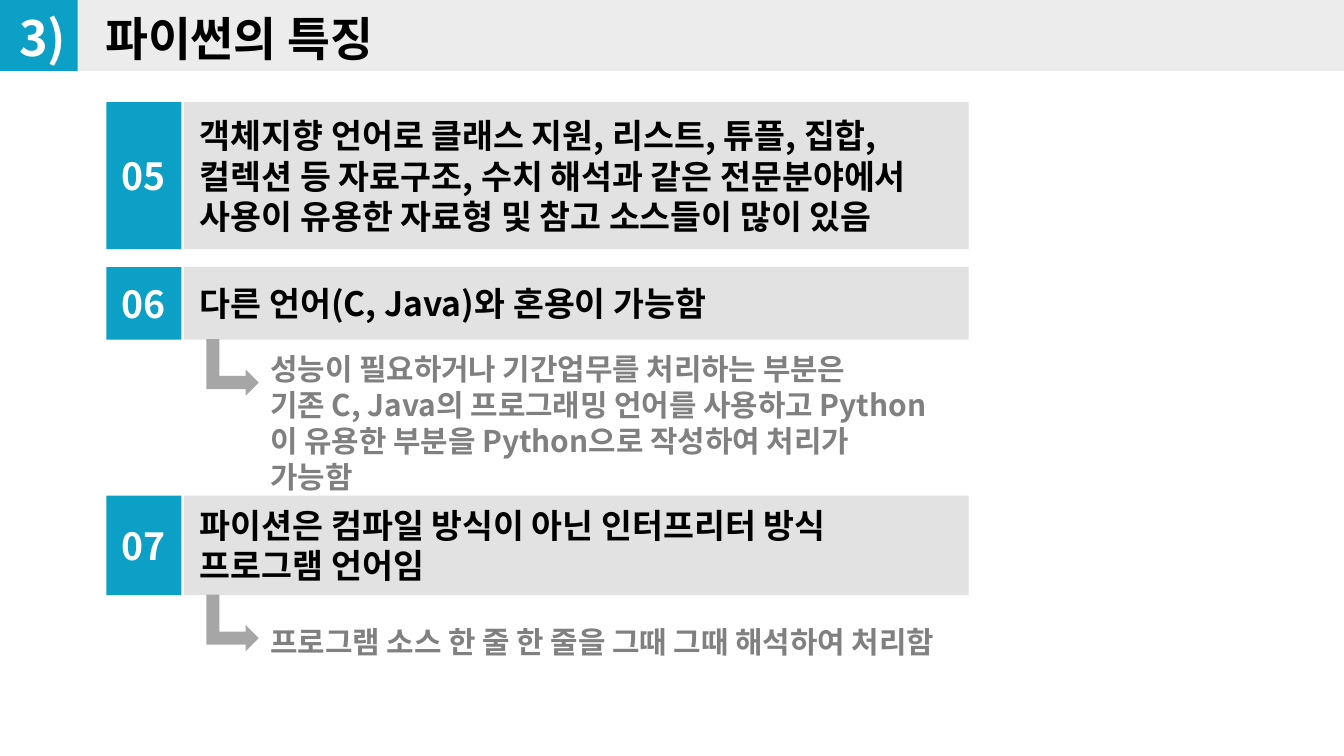
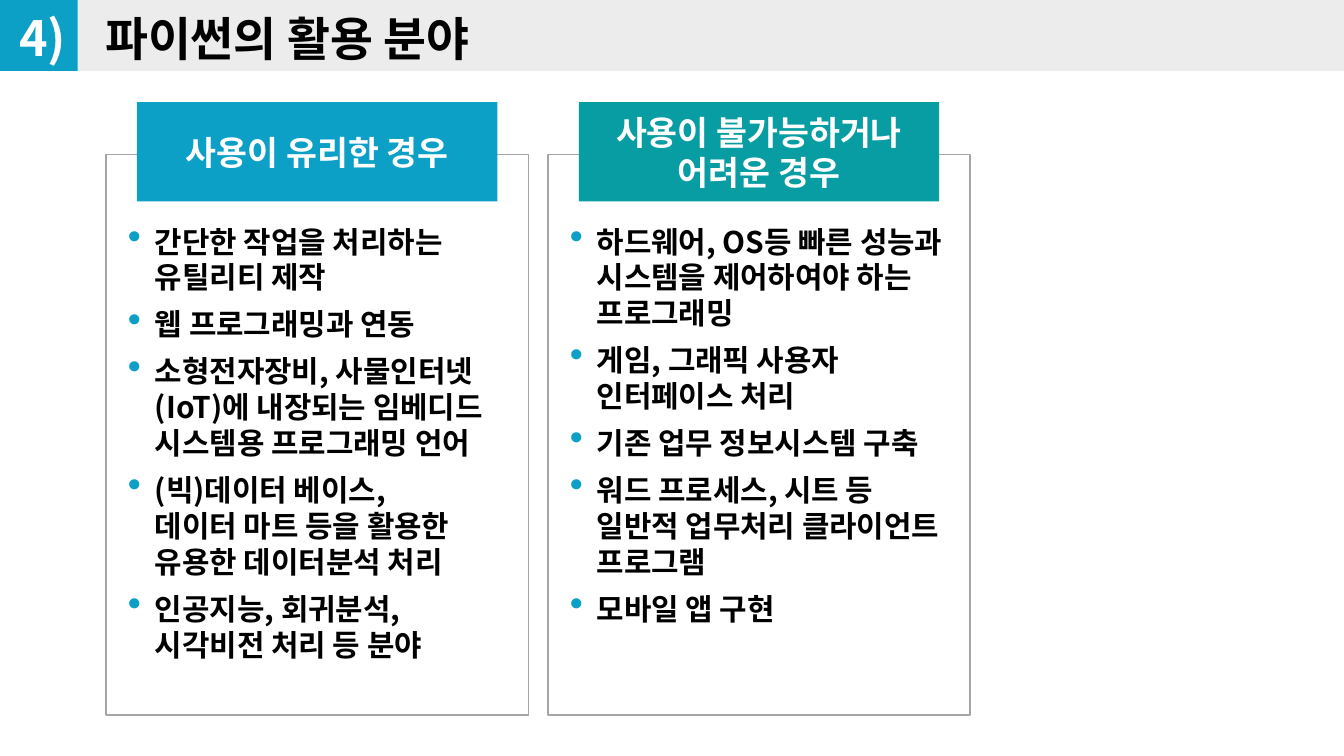
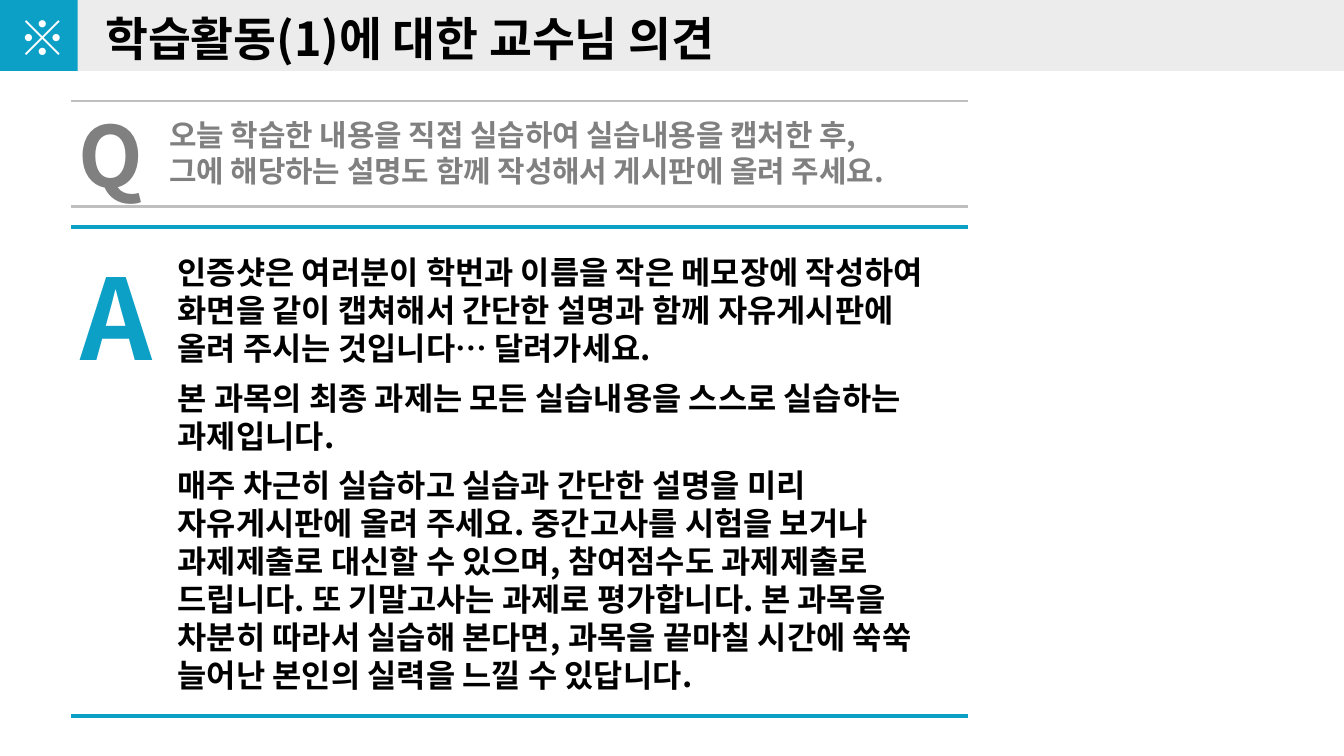
from lxml import etree
from pptx import Presentation
from pptx.dml.color import RGBColor
from pptx.enum.shapes import MSO_CONNECTOR, MSO_SHAPE
from pptx.enum.text import MSO_ANCHOR, MSO_AUTO_SIZE, PP_ALIGN
from pptx.oxml.ns import qn
from pptx.util import Cm, Pt

RECT = MSO_SHAPE.RECTANGLE
BENT_ARROW = MSO_SHAPE.BENT_UP_ARROW
STRAIGHT = MSO_CONNECTOR.STRAIGHT
TOP, MIDDLE = MSO_ANCHOR.TOP, MSO_ANCHOR.MIDDLE
LEFT, CENTER = PP_ALIGN.LEFT, PP_ALIGN.CENTER
NO_AUTOFIT = MSO_AUTO_SIZE.NONE

FONT = "Noto Sans CJK KR"
BLUE, TEAL = "0CA0C7", "089CA3"
BLACK, WHITE = "000000", "FFFFFF"
BAND_GRAY, ROW_GRAY = "ECECEC", "E2E2E2"
TEXT_GRAY, EDGE_GRAY, RULE_GRAY = "808080", "A6A6A6", "BFBFBF"

SHAPE_INSETS = (0.25, 0.13, 0.25, 0.13)
TEXT_INSETS = (0.36, 0.18, 0.36, 0.18)
ROW_INSETS = (0.3, 0.13, 0.3, 0.13)
CARD_INSETS = (0.41, 1.3, 0.41, 0.25)


def color(code):
    return RGBColor.from_string(code)


class Deck:
    def __init__(self):
        self.prs = Presentation()
        self.prs.slide_width, self.prs.slide_height = Cm(25.4), Cm(14.29)
        self.layout = self.prs.slide_layouts[5]
        self.slide = None

    def start_slide(self, marker, title):
        first = self.slide is None
        self.slide = self.prs.slides.add_slide(self.layout)
        if first:
            self.share_bands()
        heading = self.slide.shapes.title
        heading.left, heading.top, heading.width, heading.height = map(Cm, (1.63, 0, 22.66, 1.42))
        self.set_text(heading.text_frame, [title], 25, BLACK, insets=TEXT_INSETS)
        self.text((-0.03, -0.03, 1.68, 1.47), [marker], 26, WHITE, align=CENTER)

    def share_bands(self):
        for box, fill in (((1.45, -0.03, 23.95, 1.37), BAND_GRAY), ((-0.03, -0.03, 1.5, 1.37), BLUE)):
            band = self.shape(box, fill)
            self.layout.shapes._spTree.append(band._element)

    def set_text(self, frame, paragraphs, size, ink, align=LEFT, anchor=TOP,
                 insets=SHAPE_INSETS, bullets=False):
        frame.auto_size = NO_AUTOFIT
        frame.word_wrap = True
        frame.vertical_anchor = anchor
        frame.margin_left, frame.margin_top, frame.margin_right, frame.margin_bottom = map(Cm, insets)
        for index, content in enumerate(paragraphs):
            paragraph = frame.add_paragraph() if index else frame.paragraphs[0]
            paragraph.text = content
            paragraph.alignment = align
            paragraph.space_before = Pt(6 if index else 0)
            if bullets:
                self.bullet(paragraph)
            font = paragraph.font
            font.size, font.bold, font.name = Pt(size), True, FONT
            font.color.rgb = color(ink)
            etree.SubElement(font._element, qn("a:ea"), typeface=FONT)

    def bullet(self, paragraph):
        props = paragraph._p.get_or_add_pPr()
        props.set("marL", str(Cm(0.51)))
        props.set("indent", str(-Cm(0.51)))
        tint = etree.SubElement(props, qn("a:buClr"))
        etree.SubElement(tint, qn("a:srgbClr"), val=BLUE)
        etree.SubElement(props, qn("a:buSzPct"), val="130000")
        etree.SubElement(props, qn("a:buChar"), char="•")

    def shape(self, box, fill, kind=RECT, edge=None):
        shape = self.slide.shapes.add_shape(kind, *map(Cm, box))
        shape.shadow.inherit = False
        shape.fill.solid()
        shape.fill.fore_color.rgb = color(fill)
        if edge:
            shape.line.color.rgb = color(edge)
            shape.line.width = Pt(1)
        else:
            shape.line.fill.background()
        return shape

    def panel(self, box, fill, paragraphs, size, ink, edge=None, **style):
        self.set_text(self.shape(box, fill, edge=edge).text_frame, paragraphs, size, ink, **style)

    def text(self, box, paragraphs, size, ink, **style):
        frame = self.slide.shapes.add_textbox(*map(Cm, box)).text_frame
        self.set_text(frame, paragraphs, size, ink, insets=TEXT_INSETS, **style)

    def rule(self, y, ink, weight):
        rule = self.slide.shapes.add_connector(STRAIGHT, Cm(1.35), Cm(y), Cm(18.29), Cm(y))
        rule.line.color.rgb = color(ink)
        rule.line.width = Pt(weight)
        etree.SubElement(rule._element.spPr, qn("a:effectLst"))

    def feature(self, top, height, number, statement):
        self.panel((2.01, top, 1.42, height), BLUE, [number], 20, WHITE, align=CENTER, anchor=MIDDLE)
        self.panel((3.48, top, 14.83, height), ROW_GRAY, [statement], 18, BLACK,
                   anchor=MIDDLE, insets=ROW_INSETS)

    def detail(self, arrow_top, text_top, explanation):
        self.shape((3.86, arrow_top, 1.07, 0.99), EDGE_GRAY, BENT_ARROW).rotation = 90
        self.text((4.75, text_top, 13.28, 1.09), [explanation], 16, TEXT_GRAY, anchor=MIDDLE)

    def card(self, left, fill, heading, items):
        self.panel((left, 2.92, 7.98, 10.59), WHITE, items, 16, BLACK, edge=EDGE_GRAY,
                   insets=CARD_INSETS, bullets=True)
        self.panel((left + 0.58, 1.93, 6.81, 1.88), fill, [heading], 18, WHITE,
                   align=CENTER, anchor=MIDDLE)


def main():
    deck = Deck()

    deck.start_slide("3)", "파이썬의 특징")
    deck.feature(1.93, 2.78, "05", "객체지향 언어로 클래스 지원, 리스트, 튜플, 집합, \n컬렉션 등 자료구조, "
                 "수치 해석과 같은 전문분야에서 사용이 유용한 자료형 및 참고 소스들이 많이 있음")
    deck.feature(5.05, 1.37, "06", "다른 언어(C, Java)와 혼용이 가능함")
    deck.detail(6.45, 7.44, "성능이 필요하거나 기간업무를 처리하는 부분은 \n기존 C, Java의 프로그래밍 언어를 "
                "사용하고 Python이 유용한 부분을 Python으로 작성하여 처리가 가능함")
    deck.feature(9.37, 1.88, "07", "파이션은 컴파일 방식이 아닌 인터프리터 방식 프로그램 언어임")
    deck.detail(11.28, 11.58, "프로그램 소스 한 줄 한 줄을 그때 그때 해석하여 처리함")

    deck.start_slide("4)", "파이썬의 활용 분야")
    deck.card(2.01, BLUE, "사용이 유리한 경우", [
        "간단한 작업을 처리하는 유틸리티 제작",
        "웹 프로그래밍과 연동",
        "소형전자장비, 사물인터넷(IoT)에 내장되는 임베디드 시스템용 프로그래밍 언어",
        "(빅)데이터 베이스, \n데이터 마트 등을 활용한 유용한 데이터분석 처리",
        "인공지능, 회귀분석, \n시각비전 처리 등 분야",
    ])
    deck.card(10.36, TEAL, "사용이 불가능하거나\n어려운 경우", [
        "하드웨어, OS등 빠른 성능과 시스템을 제어하여야 하는 프로그래밍",
        "게임, 그래픽 사용자 인터페이스 처리",
        "기존 업무 정보시스템 구축",
        "워드 프로세스, 시트 등 일반적 업무처리 클라이언트 프로그램",
        "모바일 앱 구현",
    ])

    deck.start_slide("※", "학습활동(1)에 대한 교수님 의견")
    for y in (1.91, 3.91):
        deck.rule(y, RULE_GRAY, 1.5)
    for y in (4.29, 13.54):
        deck.rule(y, BLUE, 2.25)
    deck.text((1.12, 1.78, 1.88, 2.29), ["Q"], 45, TEXT_GRAY)
    deck.text((2.84, 2.03, 15.44, 1.73), [
        "오늘 학습한 내용을 직접 실습하여 실습내용을 캡처한 후,\n그에 해당하는 설명도 함께 작성해서 게시판에 올려 주세요.",
    ], 16, TEXT_GRAY)
    deck.text((1.17, 4.52, 2.03, 2.92), ["A"], 60, BLUE)
    deck.text((3, 4.6, 15.32, 8.99), [
        "인증샷은 여러분이 학번과 이름을 작은 메모장에 작성하여 화면을 같이 캡쳐해서 간단한 설명과 함께 "
        "자유게시판에 올려 주시는 것입니다… 달려가세요.",
        "본 과목의 최종 과제는 모든 실습내용을 스스로 실습하는 과제입니다.",
        "매주 차근히 실습하고 실습과 간단한 설명을 미리 자유게시판에 올려 주세요. 중간고사를 시험을 보거나 "
        "과제제출로 대신할 수 있으며, 참여점수도 과제제출로 드립니다. 또 기말고사는 과제로 평가합니다. "
        "본 과목을 차분히 따라서 실습해 본다면, 과목을 끝마칠 시간에 쑥쑥 늘어난 본인의 실력을 느낄 수 있답니다.",
    ], 17, BLACK)

    deck.prs.save("out.pptx")


if __name__ == "__main__":
    main()
